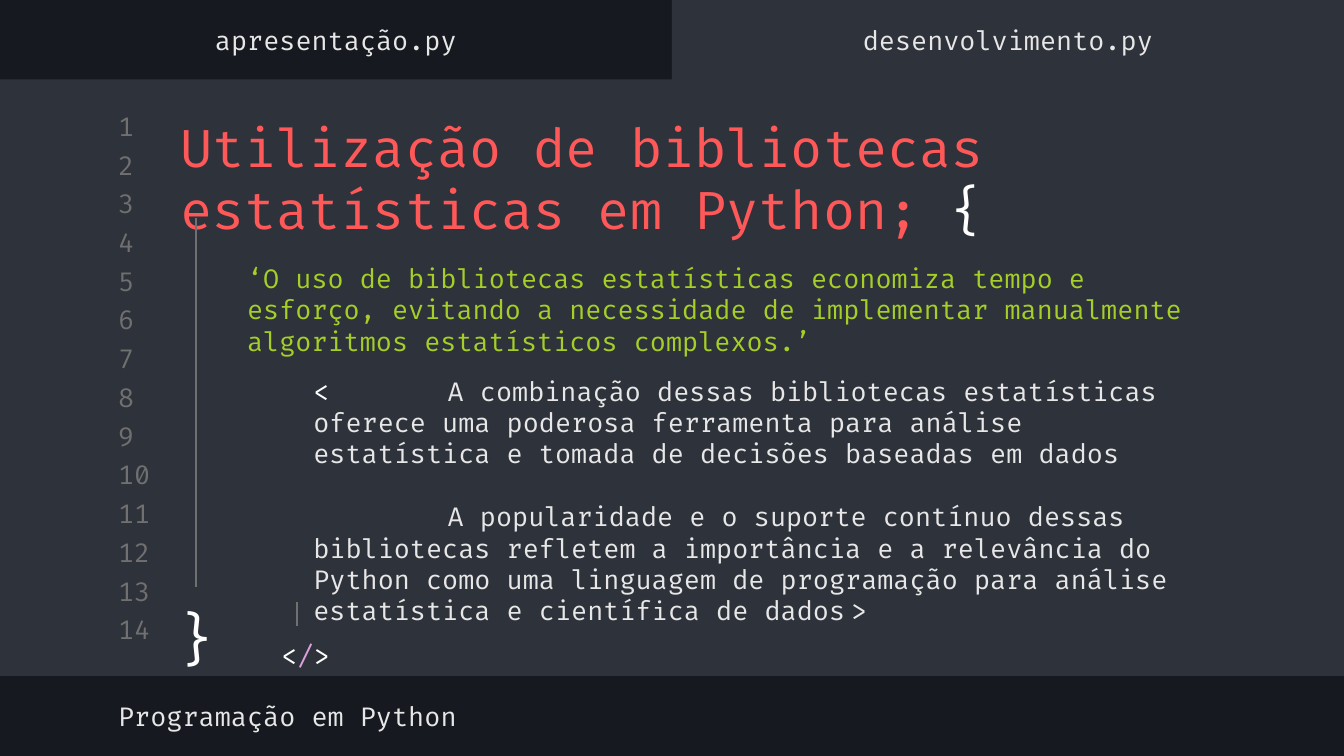
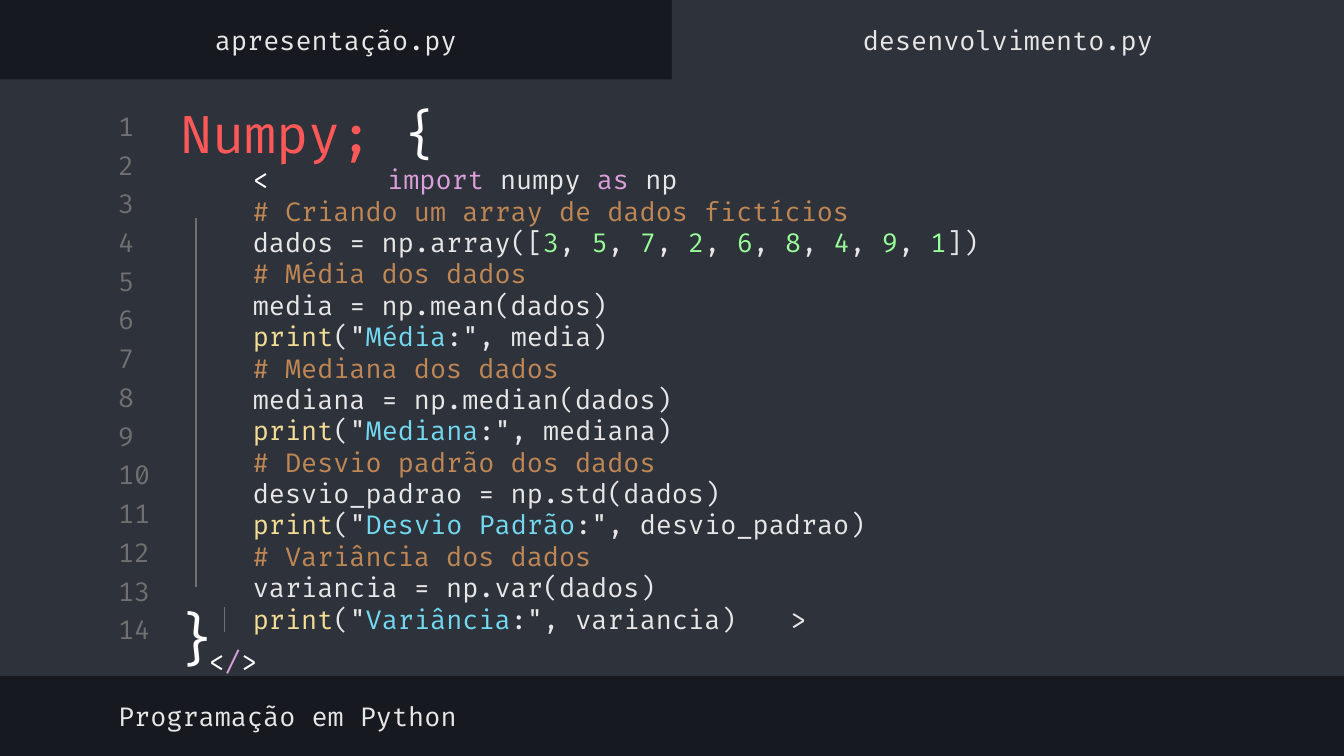
"""Builds two code-editor slides about statistics libraries in Python."""
from pptx import Presentation
from pptx.dml.color import RGBColor
from pptx.enum.shapes import MSO_CONNECTOR, MSO_SHAPE
from pptx.enum.text import MSO_ANCHOR as Anchor, MSO_AUTO_SIZE as AutoSize, PP_ALIGN as Align
from pptx.oxml.ns import qn
from pptx.util import Pt
from lxml.etree import SubElement

FONT = "Fira Code"
BAND = RGBColor(0x16, 0x19, 0x1F)
EDITOR = RGBColor(0x2E, 0x32, 0x3B)
GRAY = RGBColor(0x70, 0x70, 0x70)
LIGHT = RGBColor(0xE7, 0xE7, 0xE7)
WHITE = RGBColor(0xFF, 0xFF, 0xFF)
RED = RGBColor(0xFF, 0x58, 0x58)
LIME = RGBColor(0xA5, 0xCF, 0x27)
PINK = RGBColor(0xDB, 0xA0, 0xDB)
ORANGE = RGBColor(0xC0, 0x87, 0x54)
GREEN = RGBColor(0x99, 0xFF, 0x99)
YELLOW = RGBColor(0xF3, 0xDC, 0x94)
CYAN = RGBColor(0x72, 0xD9, 0xF0)

SLIDE_WIDTH, SLIDE_HEIGHT = 720, 405
INSET = 7.2
BODY_INDENT = 35.5
TAB = 72
LINE_COUNT = 14


def place(shape, left, top, width, height):
    """Set the position and size of a shape in points."""
    shape.left, shape.top = Pt(left), Pt(top)
    shape.width, shape.height = Pt(width), Pt(height)


def set_up_frame(frame, anchor):
    """Give a text frame its insets, wrapping and anchor."""
    frame.word_wrap = True
    frame.auto_size = AutoSize.NONE
    frame.vertical_anchor = anchor
    frame.margin_left = frame.margin_right = Pt(INSET)
    frame.margin_top = frame.margin_bottom = Pt(INSET)


def write(para, spans, size=14, align=Align.LEFT):
    """Add coloured spans to a paragraph, breaking lines at newlines."""
    para.alignment = align
    for text, color in spans:
        for index, piece in enumerate(text.split("\n")):
            if index:
                para.add_line_break()
            if piece:
                span = para.add_run()
                span.text = piece
                span.font.name = FONT
                span.font.size = Pt(size)
                span.font.color.rgb = color


def indent(para, space_before, first_line=0):
    """Indent a paragraph and set its tab distance."""
    para.space_before = Pt(space_before)
    props = para._p.get_or_add_pPr()
    props.set("marL", str(Pt(BODY_INDENT)))
    props.set("indent", str(Pt(first_line)))
    props.set("defTabSz", str(Pt(TAB)))


def add_text(page, bounds, spans, size=14, align=Align.LEFT, anchor=Anchor.MIDDLE):
    """Add a text box holding one paragraph."""
    box = page.shapes.add_textbox(*map(Pt, bounds))
    set_up_frame(box.text_frame, anchor)
    write(box.text_frame.paragraphs[0], spans, size, align)
    return box


def add_panel(page, bounds):
    """Add a plain rectangle in the editor colour."""
    panel = page.shapes.add_shape(MSO_SHAPE.RECTANGLE, *map(Pt, bounds))
    panel.shadow.inherit = False
    panel.fill.solid()
    panel.fill.fore_color.rgb = EDITOR
    panel.line.fill.background()
    return panel


def add_guide(page, x, top, bottom):
    """Add a thin vertical indentation guide."""
    guide = page.shapes.add_connector(MSO_CONNECTOR.STRAIGHT, Pt(x), Pt(top), Pt(x), Pt(bottom))
    guide.line.color.rgb = GRAY
    guide.line.width = Pt(0.75)
    SubElement(guide.element.spPr, qn("a:effectLst"))


def add_closing_tag(page, left, top):
    """Add the closing tag with its short guide above."""
    add_guide(page, left + 21.6, top - 13, top)
    spans = [("<", WHITE), ("/", PINK), (">", WHITE)]
    add_text(page, (left, top, 52.5, 31.7), spans, align=Align.CENTER, anchor=Anchor.TOP)


def dress_layout(layout, page):
    """Put the editor panels and line numbers on the layout."""
    layout.background.fill.solid()
    layout.background.fill.fore_color.rgb = BAND
    for holder in list(layout.placeholders):
        if holder.placeholder_format.idx:
            holder.element.getparent().remove(holder.element)
    half = SLIDE_WIDTH / 2
    parts = [add_panel(page, (0, 42.5, SLIDE_WIDTH, 319.7)),
             add_panel(page, (half, 0, half, 46.8))]
    for index in range(LINE_COUNT):
        bounds = (56.2, 58.8 + 20.75 * index, 34, 17.3)
        parts.append(add_text(page, bounds, [(str(index + 1), GRAY)]))
    for part in parts:
        layout.shapes.element.append(part.element)


def add_frame(page, title, title_height):
    """Fill in the title, tabs, footer and code block braces."""
    heading = page.shapes.title
    place(heading, 89.3, 49, 616.3, title_height)
    set_up_frame(heading.text_frame, Anchor.MIDDLE)
    write(heading.text_frame.paragraphs[0], [(title, RED), ("{", WHITE)], 28)
    half = SLIDE_WIDTH / 2
    for index, name in enumerate(("apresentação.py", "desenvolvimento.py")):
        add_text(page, (half * index, 7.2, half, 28), [(name, LIGHT)], align=Align.CENTER)
    add_text(page, (56.2, 369.4, 383, 28), [("Programação em Python", LIGHT)])
    add_text(page, (85.7, 316, 39.6, 46), [("}", WHITE)], 30, Align.CENTER, Anchor.TOP)
    add_guide(page, 105.1, 116.6, 314.6)


def add_libraries_text(page):
    """Add the quotation and the two remarks on libraries."""
    quote = ("‘O uso de bibliotecas estatísticas economiza tempo e esforço, evitando a "
             "necessidade de implementar manualmente algoritmos estatísticos complexos.’")
    power = ("A combinação dessas bibliotecas estatísticas oferece uma poderosa ferramenta "
             "para análise estatística e tomada de decisões baseadas em dados")
    support = ("A popularidade e o suporte contínuo dessas bibliotecas refletem a importância "
               "e a relevância do Python como uma linguagem de programação para análise "
               "estatística e científica de dados\t>")
    frame = add_text(page, (125.3, 154.8, 532.8, 166.3), [(quote, LIME)]).text_frame
    para = frame.add_paragraph()
    indent(para, 10)
    write(para, [("<\t", WHITE), (power, LIGHT)])
    para = frame.add_paragraph()
    indent(para, 16.8, TAB)
    write(para, [(support, LIGHT)])


def numpy_spans():
    """Return the coloured spans of the Numpy listing."""
    spans = [("<\t", WHITE), ("import ", PINK), ("numpy ", LIGHT), ("as ", PINK),
             ("np\n", LIGHT), ("# Criando um array de dados fictícios\n", ORANGE)]
    opening = "dados = np.array(["
    for number in "357268491":
        spans += [(opening, LIGHT), (number, GREEN)]
        opening = ", "
    spans.append(("])", LIGHT))
    measures = [("Média", "media", "mean"), ("Mediana", "mediana", "median"),
                ("Desvio Padrão", "desvio_padrao", "std"), ("Variância", "variancia", "var")]
    for label, variable, function in measures:
        spans += [(f"\n# {label.capitalize()} dos dados\n", ORANGE),
                  (f"{variable} = np.{function}(dados)\n", LIGHT),
                  ("print", YELLOW), ('("', LIGHT), (label, CYAN),
                  (f':", {variable})', LIGHT)]
    return spans + [("\t>", LIGHT)]


def main():
    """Build and save the deck."""
    deck = Presentation()
    deck.slide_width, deck.slide_height = Pt(SLIDE_WIDTH), Pt(SLIDE_HEIGHT)
    layout = deck.slide_layouts.get_by_name("Title Only")

    page = deck.slides.add_slide(layout)
    dress_layout(layout, page)
    add_frame(page, "Utilização de bibliotecas estatísticas em Python; ", 92.2)
    add_libraries_text(page)
    add_closing_tag(page, 137.5, 335.5)

    page = deck.slides.add_slide(layout)
    add_frame(page, "Numpy; ", 43.9)
    listing = add_text(page, (92.9, 71.3, 532.8, 285), numpy_spans())
    indent(listing.text_frame.paragraphs[0], 10)
    add_closing_tag(page, 98.6, 338.4)

    deck.save("out.pptx")


if __name__ == "__main__":
    main()
